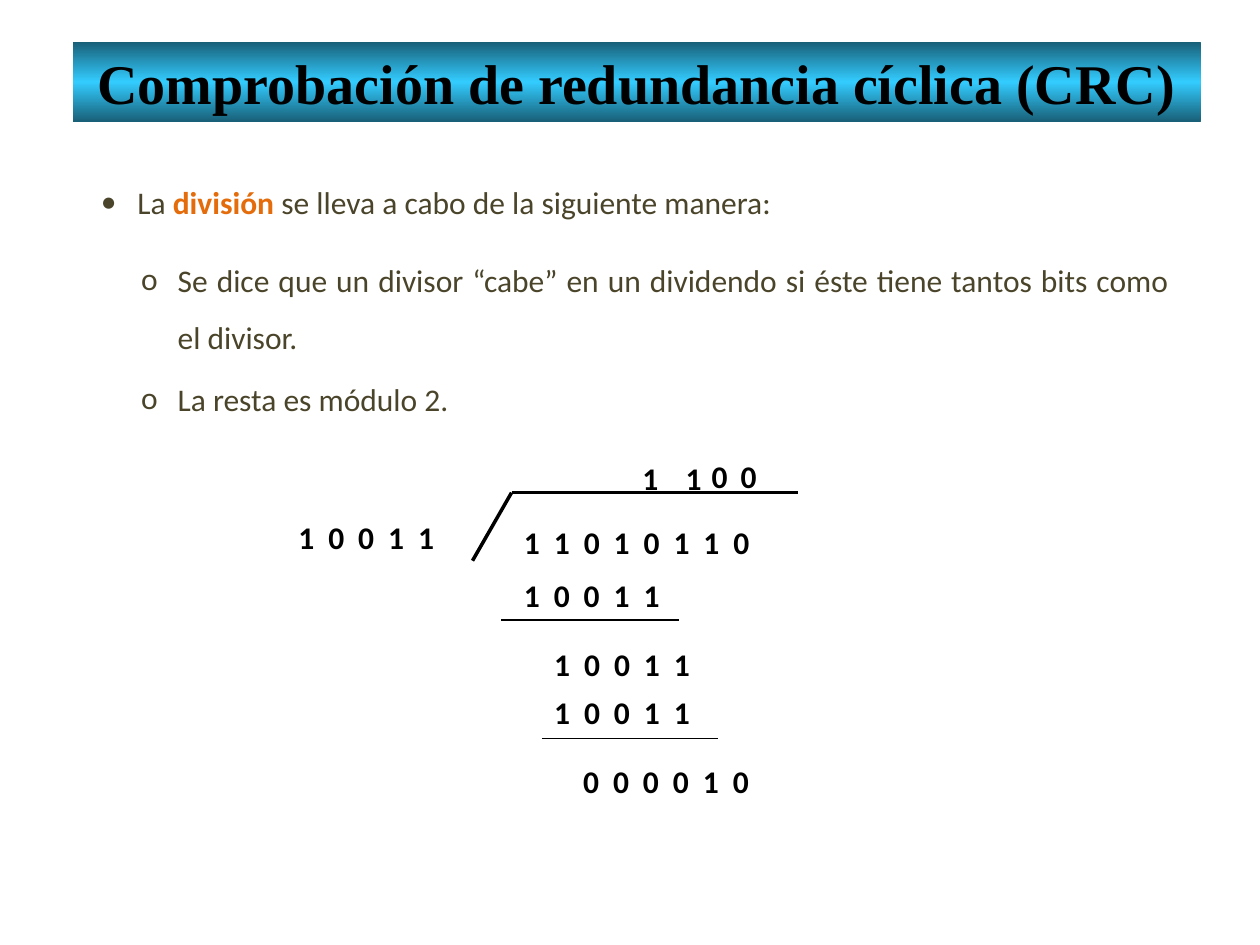
"""Build the slide that shows a CRC long division."""
from copy import deepcopy
from dataclasses import dataclass

from lxml import etree
from pptx import Presentation
from pptx import util as u
from pptx.dml.color import RGBColor
from pptx.enum import shapes, text
from pptx.oxml import ns

BLACK, BROWN, ORANGE = "000000", "4A452A", "E46C0A"
DARK_BLUE, CYAN = "185E76", "33CCFF"
HANG = 0.29


@dataclass
class Digits:
    value: str
    left: float
    top: float
    width: float
    align: text.PP_ALIGN = text.PP_ALIGN.JUSTIFY


@dataclass
class Rule:
    start: tuple[float, float]
    end: tuple[float, float]
    weight: float


@dataclass
class Point:
    runs: list[tuple[str, str, bool]]
    bullet: str
    margin: float
    before: float


DIGITS = [
    Digits("11010110", 4.06, 3.95, 2.42),
    Digits("10011", 2.27, 3.91, 1.56),
    Digits("1", 5, 3.44, 0.31),
    Digits("1", 5.23, 3.44, 0.55, text.PP_ALIGN.CENTER),
    Digits("0", 5.55, 3.43, 0.39),
    Digits("0", 5.78, 3.43, 0.39),
    Digits("10011", 4.06, 4.37, 1.56),
    Digits("10011", 4.3, 4.92, 1.72),
    Digits("10011", 4.3, 5.3, 1.56),
    Digits("000010", 4.53, 5.85, 1.72),
]
RULES = [
    Rule((4.06, 3.91), (3.75, 4.45), 2),
    Rule((4.06, 3.91), (6.33, 3.91), 2),
    Rule((3.98, 4.92), (5.39, 4.92), 0.75),
    Rule((4.3, 5.86), (5.7, 5.86), 0.75),
]
POINTS = [
    Point([("La ", BROWN, False), ("división", ORANGE, True),
           (" se lleva a cabo de la siguiente manera:", BROWN, False)], "•", HANG, 0),
    Point([("Se dice que un divisor “cabe” en un dividendo si éste tiene "
            "tantos bits como el divisor.", BROWN, False)], "o", 0.32 + HANG, 12.5),
    Point([("La resta es módulo 2.", BROWN, False)], "o", 0.32 + HANG, 3),
]


def rgb(value: str) -> RGBColor:
    return RGBColor.from_string(value)


def set_all(obj, values: dict) -> None:
    for name, value in values.items():
        setattr(obj, name, value)


def place(sp, left: float, top: float, width: float, height: float) -> None:
    set_all(sp, {"left": u.Inches(left), "top": u.Inches(top),
                 "width": u.Inches(width), "height": u.Inches(height)})


def add_run(p, words: str, color: str, bold: bool, size: float = 18, font: str = "Calibri"):
    r = p.add_run()
    r.text = words
    set_all(r.font, {"size": u.Pt(size), "name": font, "bold": bold})
    r.font.color.rgb = rgb(color)
    return r


def format_paragraph(p, align: text.PP_ALIGN, margin: float = HANG, before: float = 0):
    set_all(p, {"alignment": align, "line_spacing": 1.5, "space_before": u.Pt(before)})
    pPr = p._p.get_or_add_pPr()
    pPr.set("marL", str(u.Inches(margin)))
    pPr.set("indent", str(u.Inches(-HANG)))
    return pPr


def draw_title(sp) -> None:
    place(sp, 0.58, 0.33, 8.95, 0.64)
    sp.fill.gradient()
    sp.fill.gradient_angle = 90
    stops = sp._element.spPr.find(".//" + ns.qn("a:gsLst"))
    stops.insert(1, deepcopy(stops[0]))
    for stop, color, position in zip(sp.fill.gradient_stops,
                                     (DARK_BLUE, CYAN, DARK_BLUE), (0, 0.5, 1)):
        stop.color.rgb = rgb(color)
        stop.position = position
    tf = sp.text_frame
    set_all(tf, {"word_wrap": True, "auto_size": text.MSO_AUTO_SIZE.NONE,
                 "vertical_anchor": text.MSO_ANCHOR.MIDDLE})
    p = tf.paragraphs[0]
    p.alignment = text.PP_ALIGN.CENTER
    add_run(p, "Comprobación de redundancia cíclica (CRC)", BLACK, True, 32, "Times New Roman")


def draw_points(sp, points: list[Point]) -> None:
    place(sp, 0.7, 1.25, 8.68, 2.1)
    tf = sp.text_frame
    set_all(tf, {"word_wrap": True, "auto_size": text.MSO_AUTO_SIZE.NONE})
    for i, point in enumerate(points):
        p = tf.add_paragraph() if i else tf.paragraphs[0]
        pPr = format_paragraph(p, text.PP_ALIGN.JUSTIFY, point.margin, point.before)
        etree.SubElement(pPr, ns.qn("a:buFont"), typeface="Calibri")
        etree.SubElement(pPr, ns.qn("a:buChar"), char=point.bullet)
        for run in point.runs:
            add_run(p, *run)


def draw_digits(s, digits: Digits) -> None:
    sp = s.shapes.add_textbox(u.Inches(digits.left), u.Inches(digits.top),
                              u.Inches(digits.width), u.Inches(0.56))
    tf = sp.text_frame
    tf.word_wrap = True
    p = tf.paragraphs[0]
    format_paragraph(p, digits.align)
    r = add_run(p, digits.value, BLACK, True)
    r._r.get_or_add_rPr().set("spc", "800")


def draw_rule(s, rule: Rule) -> None:
    line = s.shapes.add_connector(shapes.MSO_CONNECTOR.STRAIGHT,
                                  *map(u.Inches, rule.start + rule.end))
    line.line.color.rgb = rgb(BLACK)
    line.line.width = u.Pt(rule.weight)
    etree.SubElement(line._element.spPr, ns.qn("a:effectLst"))


def main() -> None:
    prs = Presentation()
    set_all(prs, {"slide_width": u.Inches(10), "slide_height": u.Inches(7.5)})
    s = prs.slides.add_slide(prs.slide_layouts[1])
    draw_title(s.shapes.title)
    draw_points(s.placeholders[1], POINTS)
    for digits in DIGITS:
        draw_digits(s, digits)
    for rule in RULES:
        draw_rule(s, rule)
    prs.save("out.pptx")


if __name__ == "__main__":
    main()
